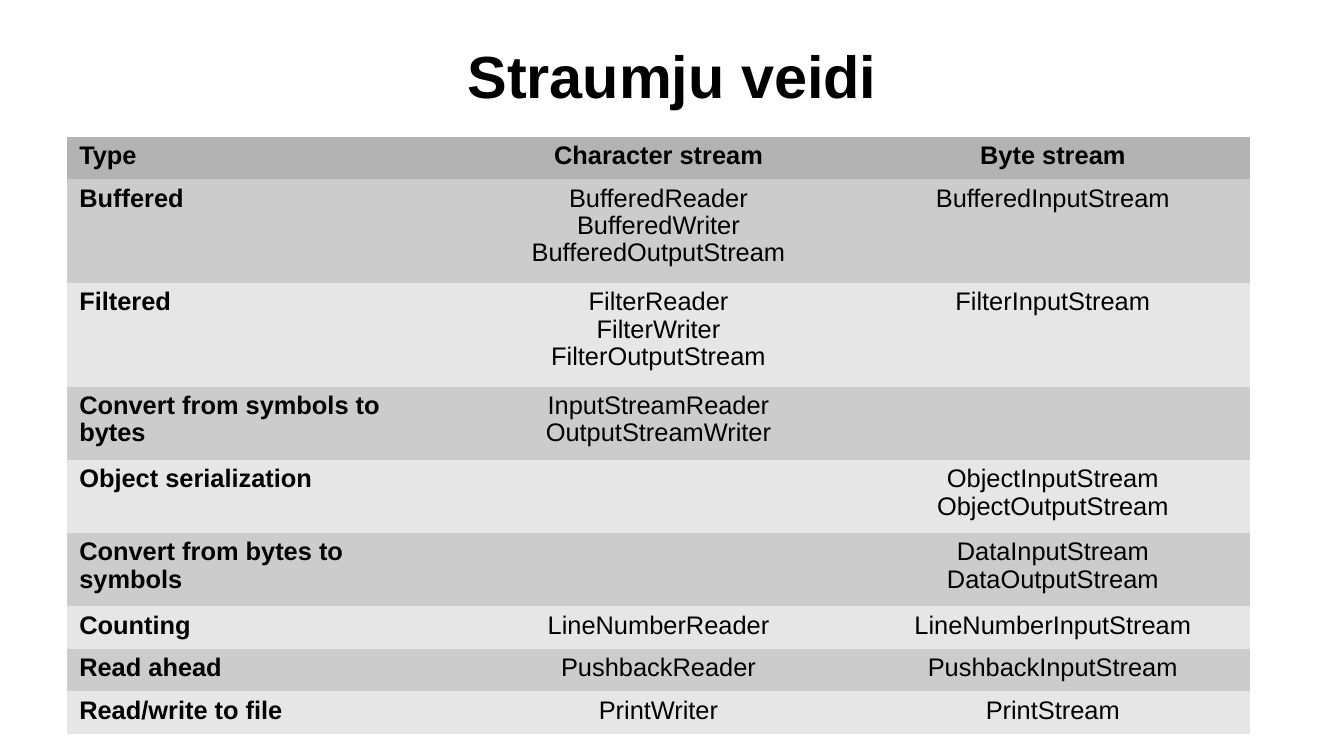
from pptx import Presentation
from pptx.dml.color import RGBColor
from pptx.enum.text import MSO_ANCHOR, MSO_AUTO_SIZE, PP_ALIGN
from pptx.oxml.ns import qn
from pptx.util import Inches, Pt

FONT = "Arial"
HEADER_FILL = "B3B3B3"
BAND_FILLS = ("CCCCCC", "E6E6E6")
NO_STYLE_NO_GRID = "{2D5ABB26-0587-4C30-8999-92F81FD0307C}"
ROW_HEIGHTS = {1: 0.35, 2: 0.6, 3: 0.85}  # by number of text lines

HEADER = ("Type", "Character stream", "Byte stream")
STREAMS = [
    ("Buffered", "BufferedReader\nBufferedWriter\nBufferedOutputStream", "BufferedInputStream"),
    ("Filtered", "FilterReader\nFilterWriter\nFilterOutputStream", "FilterInputStream"),
    ("Convert from symbols to bytes", "InputStreamReader\nOutputStreamWriter", ""),
    ("Object serialization", "", "ObjectInputStream\nObjectOutputStream"),
    ("Convert from bytes to symbols", "", "DataInputStream\nDataOutputStream"),
    ("Counting", "LineNumberReader", "LineNumberInputStream"),
    ("Read ahead", "PushbackReader", "PushbackInputStream"),
    ("Read/write to file", "PrintWriter", "PrintStream"),
]


def rgb(value):
    return RGBColor.from_string(value)


def add_run(p, text, size, bold):
    r = p.add_run()
    r.text = text
    r.font.name = FONT
    r.font.size = Pt(size)
    r.font.bold = bold
    r.font.color.rgb = rgb("000000")


def fill_title(slide, left, top, width, height):
    sp = slide.shapes.title
    sp.left, sp.top, sp.width, sp.height = map(Inches, (left, top, width, height))
    tf = sp.text_frame
    tf.word_wrap = True
    tf.auto_size = MSO_AUTO_SIZE.NONE
    tf.vertical_anchor = MSO_ANCHOR.MIDDLE
    tf.margin_left = tf.margin_right = tf.margin_top = tf.margin_bottom = 0
    p = tf.paragraphs[0]
    p.alignment = PP_ALIGN.CENTER
    add_run(p, "Straumju veidi", 35.1, True)


def fill_cell(cell, text, fill, align, bold):
    cell.fill.solid()
    cell.fill.fore_color.rgb = rgb(fill)
    tf = cell.text_frame
    for i, line in enumerate(text.split("\n")):
        p = tf.add_paragraph() if i else tf.paragraphs[0]
        p.alignment = align
        p.line_spacing = 0.97
        if line:
            add_run(p, line, 15, bold)


def add_stream_table(slide, left, top, width):
    rows = [HEADER] + STREAMS
    heights = [ROW_HEIGHTS[1 + max(text.count("\n") for text in row)] for row in rows]
    frame = slide.shapes.add_table(len(rows), len(HEADER), Inches(left), Inches(top),
                                   Inches(width), Inches(sum(heights)))
    table = frame.table
    table.first_row = table.horz_banding = False
    frame.element.find(".//" + qn("a:tableStyleId")).text = NO_STYLE_NO_GRID
    for i, row in enumerate(rows):
        table.rows[i].height = Inches(heights[i])
        fill = BAND_FILLS[(i - 1) % 2] if i else HEADER_FILL
        for j, text in enumerate(row):
            align = PP_ALIGN.CENTER if j else PP_ALIGN.LEFT
            fill_cell(table.cell(i, j), text, fill, align, i == 0 or j == 0)


def main():
    prs = Presentation()
    prs.slide_width, prs.slide_height = Inches(11.02), Inches(6.2)
    slide = prs.slides.add_slide(prs.slide_layouts[5])
    fill_title(slide, 0.55, 0.25, 9.92, 0.73)
    add_stream_table(slide, 0.55, 1.12, 9.7)
    prs.save("out.pptx")


if __name__ == "__main__":
    main()
